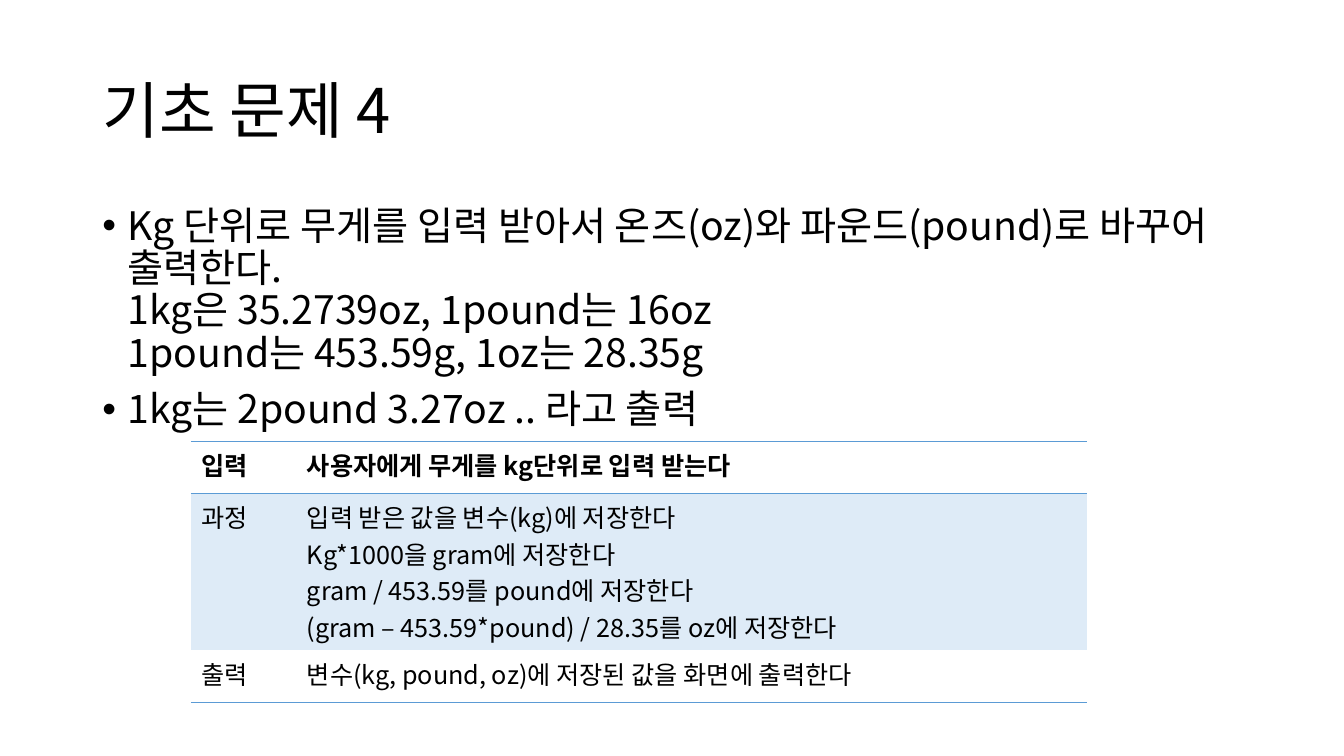
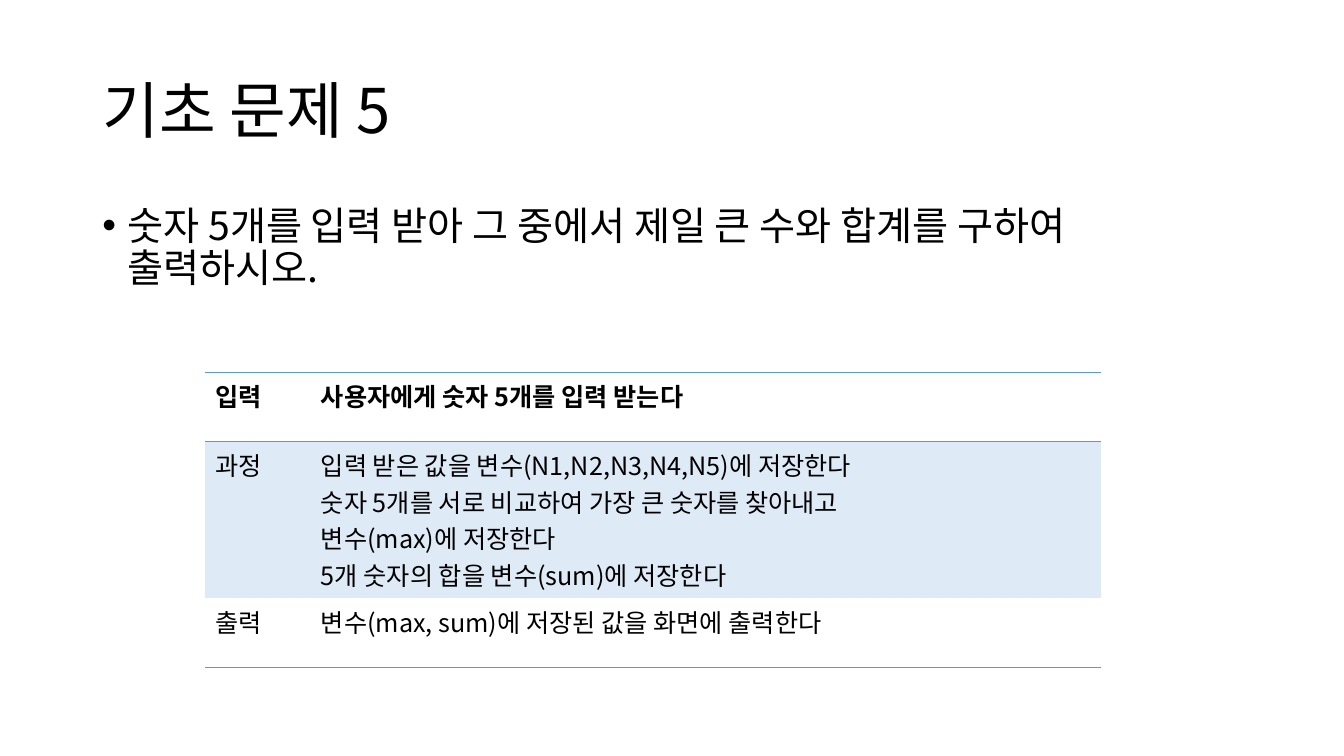
import pptx
import pptx.dml.color
import pptx.enum.text
import pptx.oxml.ns
import pptx.util
from lxml import etree

Pt = pptx.util.Pt
qn = pptx.oxml.ns.qn


def hue(code):
    return pptx.dml.color.RGBColor.from_string(code)


class Deck:
    FONT = "Noto Sans CJK KR"
    INK, RULE, BAND = "000000", "5B9BD5", "DEEBF7"
    LEFT, WIDTH = 66, 828
    PLAIN = "{2D5ABB26-0587-4C30-8999-92F81FD0307C}"

    def __init__(self):
        self.prs = pptx.Presentation()
        self.prs.slide_width, self.prs.slide_height = Pt(960), Pt(540)
        self.slide = None

    def page(self):
        self.slide = self.prs.slides.add_slide(self.prs.slide_layouts[1])

    def place(self, shape, top, height):
        shape.left, shape.top = Pt(self.LEFT), Pt(top)
        shape.width, shape.height = Pt(self.WIDTH), Pt(height)
        frame = shape.text_frame
        frame.word_wrap = True
        frame.auto_size = pptx.enum.text.MSO_AUTO_SIZE.NONE
        return frame

    def style(self, para, size, bold=False):
        """Format the runs and line breaks of a paragraph."""
        para.alignment = pptx.enum.text.PP_ALIGN.LEFT
        for run in para.runs:
            font = run.font
            font.name, font.size, font.bold = self.FONT, Pt(size), bold
            font.color.rgb = hue(self.INK)
            east = etree.SubElement(font._element, qn("a:ea"))
            east.set("typeface", self.FONT)
        for line in para._p.findall(qn("a:br")):
            etree.SubElement(line, qn("a:rPr")).set("sz", str(size * 100))

    def title(self, text):
        frame = self.place(self.slide.shapes.title, 28.75, 104.4)
        frame.vertical_anchor = pptx.enum.text.MSO_ANCHOR.MIDDLE
        frame.text = text
        para = frame.paragraphs[0]
        para.line_spacing = 0.9
        self.style(para, 44)

    def list(self, items):
        frame = self.place(self.slide.placeholders[1], 143.75, 342.6)
        for num, item in enumerate(items):
            para = frame.add_paragraph() if num else frame.paragraphs[0]
            para.text = item
            para.line_spacing = 0.9
            para.space_before = Pt(10 if num else 0)
            props = para._p.get_or_add_pPr()
            props.set("marL", str(Pt(18)))
            props.set("indent", str(-Pt(18)))
            face = etree.SubElement(props, qn("a:buFont"))
            face.set("typeface", "Arial")
            etree.SubElement(props, qn("a:buChar")).set("char", "•")
            self.style(para, 28)

    def edge(self, cell, sides):
        """Rule the named sides of a cell and clear the others."""
        props = cell._tc.get_or_add_tcPr()
        for side in "LRTB":
            line = etree.SubElement(props, qn("a:ln" + side))
            if side in sides:
                line.set("w", str(Pt(1)))
                fill = etree.SubElement(line, qn("a:solidFill"))
                etree.SubElement(fill, qn("a:srgbClr")).set("val", self.RULE)
            else:
                etree.SubElement(line, qn("a:noFill"))

    def table(self, left, top, outer, rows):
        """Draw a table whose first and last rows have the outer height."""
        highs = [outer, 112, outer]
        widths = [75.6, 564.5]
        frame = self.slide.shapes.add_table(
            len(rows), len(widths), Pt(left), Pt(top),
            Pt(sum(widths)), Pt(sum(highs)))
        grid = frame.table
        grid._tbl.tblPr.find(qn("a:tableStyleId")).text = self.PLAIN
        grid.horz_banding = False
        for col, width in zip(grid.columns, widths):
            col.width = Pt(width)
        for num, (row, high, texts) in enumerate(zip(grid.rows, highs, rows)):
            row.height = Pt(high)
            for cell, text in zip(row.cells, texts):
                cell.text_frame.text = text
                for para in cell.text_frame.paragraphs:
                    self.style(para, 18, bold=num == 0)
                self.edge(cell, ("TB", "T", "B")[num])
                if num == 1:
                    cell.fill.solid()
                    cell.fill.fore_color.rgb = hue(self.BAND)
                else:
                    cell.fill.background()


def main():
    deck = Deck()

    deck.page()
    deck.title("기초 문제 4")
    deck.list([
        "Kg 단위로 무게를 입력 받아서 온즈(oz)와 파운드(pound)로 바꾸어 출력한다.\n"
        "1kg은 35.2739oz, 1pound는 16oz\n"
        "1pound는 453.59g, 1oz는 28.35g",
        "1kg는 2pound 3.27oz .. 라고 출력",
    ])
    deck.table(136.4, 315.2, 37.4, [
        ("입력", "사용자에게 무게를 kg단위로 입력 받는다"),
        ("과정", "입력 받은 값을 변수(kg)에 저장한다\n"
                 "Kg*1000을 gram에 저장한다\n"
                 "gram / 453.59를 pound에 저장한다\n"
                 "(gram – 453.59*pound) / 28.35를 oz에 저장한다"),
        ("출력", "변수(kg, pound, oz)에 저장된 값을 화면에 출력한다"),
    ])

    deck.page()
    deck.title("기초 문제 5")
    deck.list(["숫자 5개를 입력 받아 그 중에서 제일 큰 수와 합계를 구하여 출력하시오."])
    deck.table(146.4, 266.2, 49.2, [
        ("입력", "사용자에게 숫자 5개를 입력 받는다"),
        ("과정", "입력 받은 값을 변수(N1,N2,N3,N4,N5)에 저장한다\n"
                 "숫자 5개를 서로 비교하여 가장 큰 숫자를 찾아내고\n"
                 "변수(max)에 저장한다\n"
                 "5개 숫자의 합을 변수(sum)에 저장한다"),
        ("출력", "변수(max, sum)에 저장된 값을 화면에 출력한다"),
    ])

    deck.prs.save("out.pptx")


if __name__ == "__main__":
    main()
